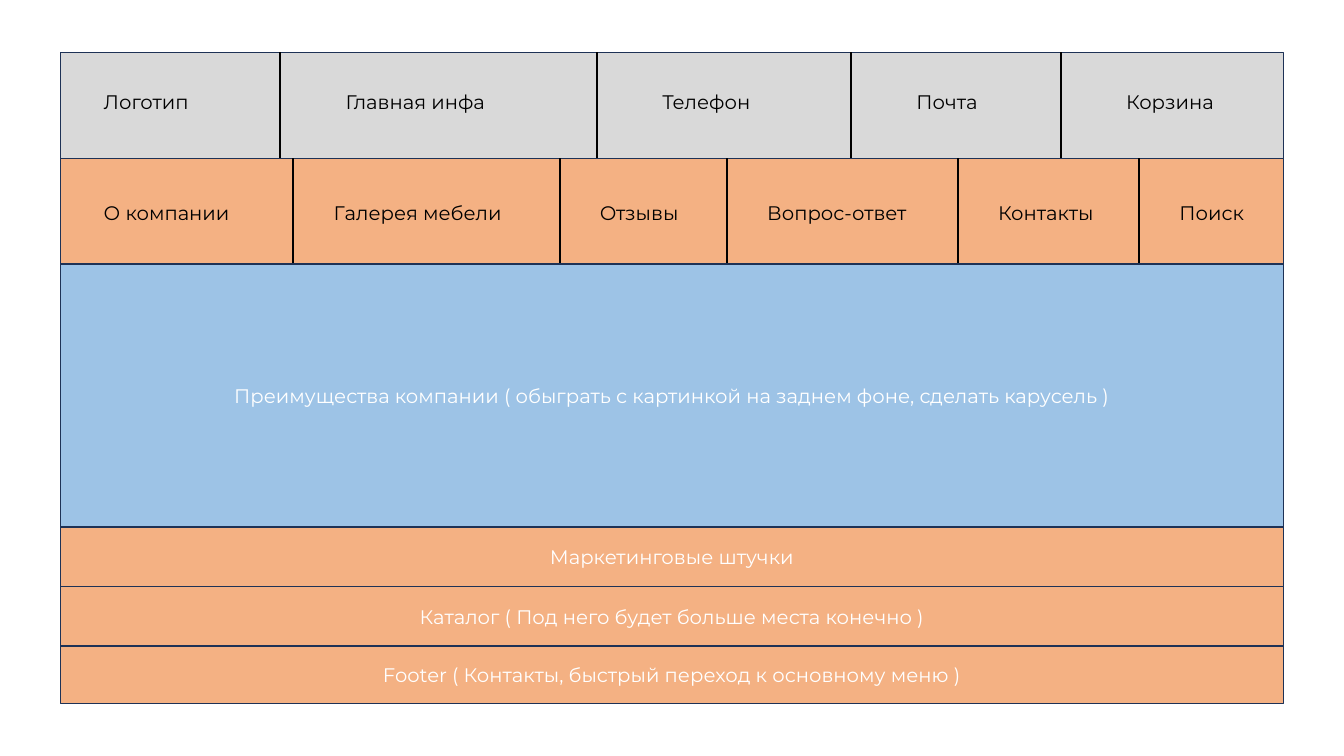
from pptx import Presentation
from pptx.dml.color import RGBColor
from pptx.enum.shapes import MSO_CONNECTOR, MSO_SHAPE
from pptx.enum.text import MSO_ANCHOR, MSO_AUTO_SIZE, PP_ALIGN
from pptx.oxml.ns import qn
from pptx.util import Inches, Pt
from lxml.etree import SubElement

GREY, PEACH, BLUE = "D9D9D9", "F4B183", "9DC3E6"
NAVY, BLACK, WHITE = "1E3256", "000000", "FFFFFF"
LEFT, WIDTH = 0.6, 12.13
FIRST = 0.33  # inset of the first label in a row


def tint(part, color):
    part.rgb = RGBColor.from_string(color)


def write(frame, text, color):
    frame.text = text
    for run in frame.paragraphs[0].runs:
        run.font.size = Pt(14)
        run.font.name = "Montserrat"
        tint(run.font.color, color)


def add_band(slide, box, fill, text=""):
    """Full-width block with an optional centred caption."""
    band = slide.shapes.add_shape(MSO_SHAPE.RECTANGLE, *map(Inches, box))
    band.shadow.inherit = False
    band.fill.solid()
    tint(band.fill.fore_color, fill)
    tint(band.line.color, NAVY)
    band.line.width = Pt(1)
    if text:
        frame = band.text_frame
        write(frame, text, WHITE)
        frame.vertical_anchor = MSO_ANCHOR.MIDDLE
        frame.paragraphs[0].alignment = PP_ALIGN.CENTER


def add_rule(slide, x, top, height):
    """Vertical divider between two cells."""
    rule = slide.shapes.add_connector(
        MSO_CONNECTOR.STRAIGHT,
        Inches(x), Inches(top), Inches(x), Inches(top + height))
    tint(rule.line.color, BLACK)
    rule.line.width = Pt(1.5)
    SubElement(rule._element.spPr, qn("a:effectLst"))


def add_label(slide, x, y, width, text):
    label = slide.shapes.add_textbox(
        Inches(x), Inches(y), Inches(width), Inches(0.34))
    frame = label.text_frame
    frame.word_wrap = True
    frame.auto_size = MSO_AUTO_SIZE.SHAPE_TO_FIT_TEXT
    write(frame, text, BLACK)


def add_row(slide, box, fill, cells, inset, drop):
    """Band split into cells; each cell is (start, label width, text)."""
    left, top, _, height = box
    add_band(slide, box, fill)
    for index, (start, width, text) in enumerate(cells):
        x = left + start
        if index:
            add_rule(slide, x, top, height)
        gap = inset if index else FIRST
        add_label(slide, x + gap, top + drop, width, text)


deck = Presentation()
deck.slide_width, deck.slide_height = Inches(13.33), Inches(7.5)
page = deck.slides.add_slide(deck.slide_layouts[6])

# Header
header = [
    (0, 1.07, "Логотип"),
    (2.18, 1.61, "Главная инфа"),
    (5.32, 1.08, "Телефон"),
    (7.84, 1.02, "Почта"),
    (9.92, 1.21, "Корзина"),
]
add_row(page, (LEFT, 0.52, WIDTH, 1.05), GREY, header, 0.55, 0.32)

# Main menu
menu = [
    (0, 1.68, "О компании"),
    (2.31, 1.9, "Галерея мебели"),
    (4.95, 1.08, "Отзывы"),
    (6.61, 1.69, "Вопрос-ответ"),
    (8.9, 1.21, "Контакты"),
    (10.7, 0.9, "Поиск"),
]
add_row(page, (LEFT, 1.57, WIDTH, 1.05), PEACH, menu, 0.3, 0.37)

# Page sections, stacked downwards
sections = [
    (2.61, BLUE, "Преимущества компании ( обыграть с картинкой "
                 "на заднем фоне, сделать карусель )"),
    (0.59, PEACH, "Маркетинговые штучки"),
    (0.59, PEACH, "Каталог ( Под него будет больше места конечно )"),
    (0.57, PEACH, "Footer ( Контакты, быстрый переход к основному меню )"),
]
top = 2.62
for height, fill, text in sections:
    add_band(page, (LEFT, top, WIDTH, height), fill, text)
    top += height

deck.save("out.pptx")
